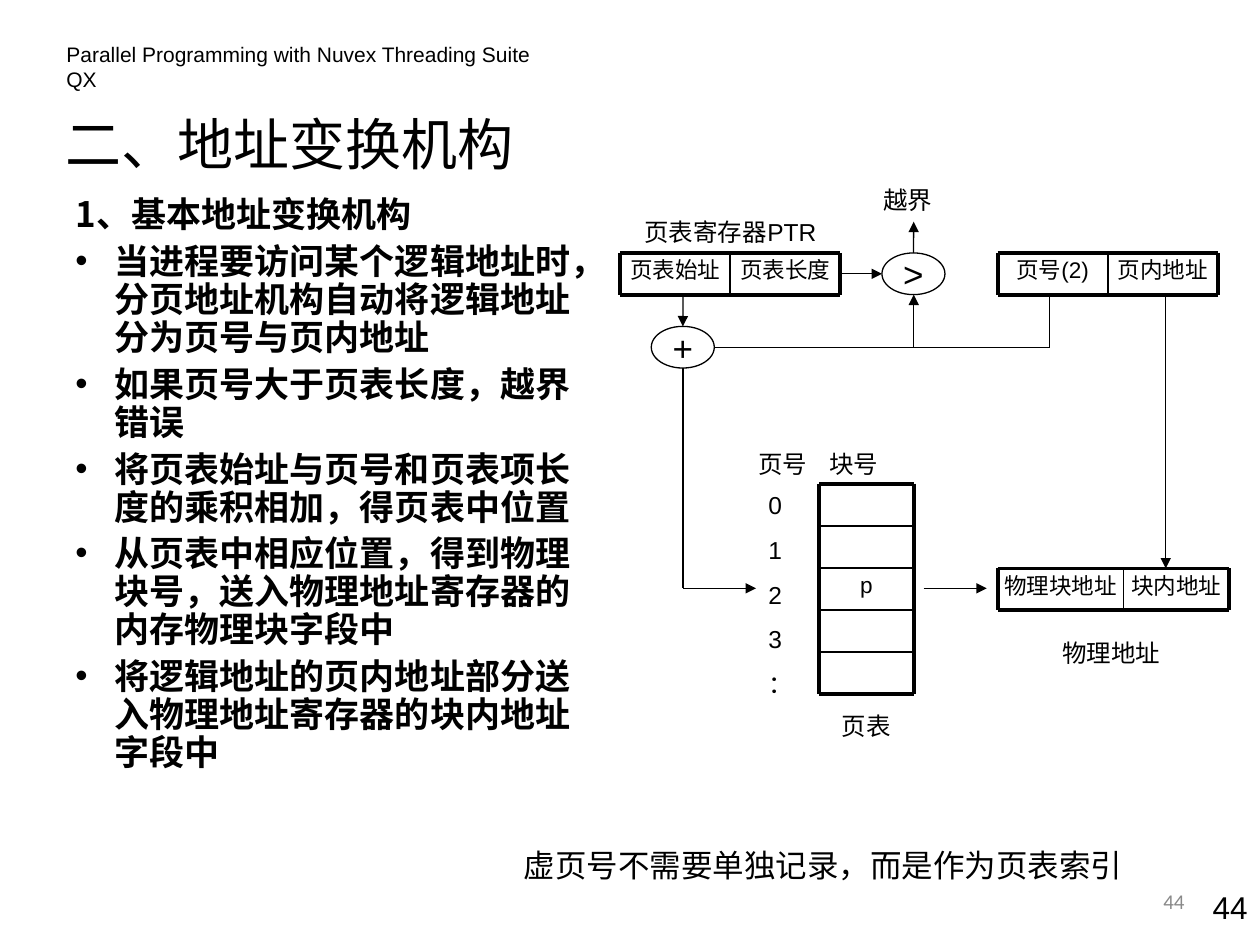
from dataclasses import dataclass
from itertools import accumulate

from lxml import etree
from pptx import Presentation
from pptx import util as u
from pptx.dml.color import RGBColor
from pptx.enum import shapes, text
from pptx.oxml import ns

COLOURS = {"ink": "000000", "muted": "898989"}
CJK = "Noto Sans CJK SC"
LEFT, CENTER, RIGHT = text.PP_ALIGN.LEFT, text.PP_ALIGN.CENTER, text.PP_ALIGN.RIGHT
TOP, MIDDLE = text.MSO_ANCHOR.TOP, text.MSO_ANCHOR.MIDDLE
CELL = {"size": 12.9, "align": CENTER, "inset": (0, 0.13), "spacing": 0.9}

POINTS = [
    "当进程要访问某个逻辑地址时，分页地址机构自动将逻辑地址分为页号与页内地址",
    "如果页号大于页表长度，越界错误",
    "将页表始址与页号和页表项长度的乘积相加，得页表中位置",
    "从页表中相应位置，得到物理块号，送入物理地址寄存器的内存物理块字段中",
    "将逻辑地址的页内地址部分送入物理地址寄存器的块内地址字段中",
]


def colour(name):
    """Return a named colour."""
    return RGBColor.from_string(COLOURS[name])


def add_xml(parent, tag, **attributes):
    """Append a drawing element and return it."""
    return etree.SubElement(parent, ns.qn(tag), attributes)


def apply(target, values):
    """Set every attribute in a dict of format values."""
    for name, value in values.items():
        setattr(target, name, value)


@dataclass
class Painter:
    """Hold the style and the current slide."""

    page: object
    font: str = "Arial"
    thin: float = 0.75
    inner: float = 1
    thick: float = 2.25

    def set_text(self, shape, lines, size=14, font=None, tone="ink", bold=False, align=LEFT,
                 anchor=TOP, inset=(0.25, 0.13), spacing=None, before=0, hanging=0,
                 bullets=False, tab=None):
        """Fill a shape with formatted paragraphs."""
        frame = shape.text_frame
        across, down = (u.Cm(value) for value in inset)
        apply(frame, {"word_wrap": True, "vertical_anchor": anchor, "margin_left": across,
                      "margin_right": across, "margin_top": down, "margin_bottom": down})
        for index, line in enumerate(lines):
            para = frame.add_paragraph() if index else frame.paragraphs[0]
            properties = para._p.get_or_add_pPr()
            if hanging:
                properties.set("marL", str(u.Cm(hanging)))
                properties.set("indent", str(-u.Cm(hanging)))
            if bullets and index:
                add_xml(properties, "a:buFont", typeface="Arial")
                add_xml(properties, "a:buChar", char="•")
            if tab:
                stops = add_xml(properties, "a:tabLst")
                add_xml(stops, "a:tab", pos=str(u.Cm(tab)), algn="l")
            apply(para, {"alignment": align, "line_spacing": spacing,
                         "space_before": u.Pt(before if index else 0)})
            span = para.add_run()
            span.text = line
            apply(span.font, {"name": font or self.font, "size": u.Pt(size), "bold": bold})
            span.font.color.rgb = colour(tone)
            if font == CJK:
                add_xml(span._r.get_or_add_rPr(), "a:ea", typeface=CJK)

    def label(self, place, *lines, **style):
        """Add a text box."""
        box = self.page.shapes.add_textbox(*map(u.Cm, place))
        self.set_text(box, lines, **style)
        return box

    def node(self, left, top, sign):
        """Add an operator in an ellipse."""
        place = map(u.Cm, (left, top, 1.27, 0.84))
        oval = self.page.shapes.add_shape(shapes.MSO_SHAPE.OVAL, *place)
        oval.shadow.inherit = False
        oval.fill.background()
        oval.line.color.rgb = colour("ink")
        oval.line.width = u.Pt(self.thin)
        self.set_text(oval, [sign], size=20, align=CENTER, anchor=MIDDLE, inset=(0, 0))
        return oval

    def line(self, start, end, width=None, arrow=False, begin=None, finish=None):
        """Add a straight connector, joined to shapes where given."""
        link = self.page.shapes.add_connector(
            shapes.MSO_CONNECTOR.STRAIGHT, *map(u.Cm, (*start, *end)))
        link.line.color.rgb = colour("ink")
        link.line.width = u.Pt(width or self.thin)
        if arrow:
            add_xml(link._element.spPr.find(ns.qn("a:ln")), "a:tailEnd", type="triangle")
        add_xml(link._element.spPr, "a:effectLst")
        if begin:
            link.begin_connect(*begin)
        if finish:
            link.end_connect(*finish)

    def grid(self, left, top, widths, heights, words):
        """Add a ruled grid with a heavy frame and return its filled cells."""
        columns = list(accumulate(widths, initial=left))
        rows = list(accumulate(heights, initial=top))
        cells = {
            (row, column): self.label(
                (columns[column], rows[row], widths[column], heights[row]), word, **CELL)
            for (row, column), word in words.items()}
        for x in columns:
            edge = x in (columns[0], columns[-1])
            self.line((x, rows[0]), (x, rows[-1]), self.thick if edge else self.inner)
        for y in rows:
            edge = y in (rows[0], rows[-1])
            self.line((columns[0], y), (columns[-1], y), self.thick if edge else self.inner)
        return cells


def draw_text(painter):
    """Add the headings, the points and the numbers."""
    painter.label((1.09, 0.71, 10.41, 0.76),
                  "Parallel Programming with Nuvex Threading Suite QX", size=12)
    painter.label((1.07, 1.93, 14.4, 1.9), "二、地址变换机构", size=32, font=CJK, anchor=MIDDLE)
    painter.label((1.27, 3.84, 10.8, 12.06), "1、基本地址变换机构", *POINTS, size=20, font=CJK,
                  bold=True, spacing=u.Pt(21.7), before=5, hanging=0.79, bullets=True)
    painter.label((10.31, 16.92, 13.41, 1.02), "虚页号不需要单独记录，而是作为页表索引", size=18)
    painter.label((23.7, 17.78, 1.7, 1.02), "44", size=18, align=RIGHT)
    painter.label((18.21, 17.65, 5.92, 1.02), "44", size=12, font="Calibri", tone="muted",
                  align=RIGHT, anchor=MIDDLE)


def draw_diagram(painter):
    """Add the address translation diagram."""
    top, height, lower, bus, table_row = 5.1, 0.84, 11.46, 7.01, 11.86
    bottom, middle = top + height, top + height / 2
    plus_x, compare_x, number_x, offset_x = 13.77, 18.42, 21.16, 23.5

    register = painter.grid(12.5, top, [2.22, 2.22], [height],
                            {(0, 0): "页表始址", (0, 1): "页表长度"})
    painter.grid(20.11, top, [2.22, 2.22], [height], {(0, 0): "页号(2)", (0, 1): "页内地址"})
    painter.grid(20.11, lower, [2.54, 2.12], [height],
                 {(0, 0): "物理块地址", (0, 1): "块内地址"})
    painter.grid(16.51, 9.75, [1.91], [0.85] * 5, {(2, 0): "p"})

    painter.label((12.5, 4.24, 4.45, 0.86), "页表寄存器PTR", align=CENTER)
    painter.label((17.35, 3.61, 1.9, 0.86), "越界", align=CENTER)
    painter.label((21.16, 12.73, 2.74, 0.86), "物理地址")
    painter.label((15.04, 8.92, 3.38, 0.86), "页号\t块号", tab=1.43)
    painter.label((15.24, 9.75, 1.27, 4.47), *"0123：", before=8.8)
    painter.label((16.51, 14.2, 1.9, 0.86), "页表", align=CENTER)

    compare = painter.node(17.78, top, ">")
    plus = painter.node(13.13, 6.58, "+")
    painter.line((16.94, middle), (17.78, middle), arrow=True, begin=(register[0, 1], 3))
    painter.line((compare_x, top), (compare_x, 4.47), arrow=True, begin=(compare, 0))
    painter.line((plus_x, bottom), (plus_x, 6.58), arrow=True, finish=(plus, 0))
    painter.line((compare_x, bus), (compare_x, bottom), arrow=True)
    painter.line((number_x, bottom), (number_x, bus))
    painter.line((number_x, bus), (14.4, bus))
    painter.line((plus_x, 7.42), (plus_x, table_row))
    painter.line((plus_x, table_row), (15.24, table_row), arrow=True)
    painter.line((18.62, table_row), (19.89, table_row), arrow=True)
    painter.line((offset_x, bottom), (offset_x, lower), arrow=True)


def main():
    """Build the deck."""
    deck = Presentation()
    apply(deck, {"slide_width": u.Cm(25.4), "slide_height": u.Cm(19.05)})
    painter = Painter(deck.slides.add_slide(deck.slide_layouts[6]))
    draw_text(painter)
    draw_diagram(painter)
    deck.save("out.pptx")


if __name__ == "__main__":
    main()
